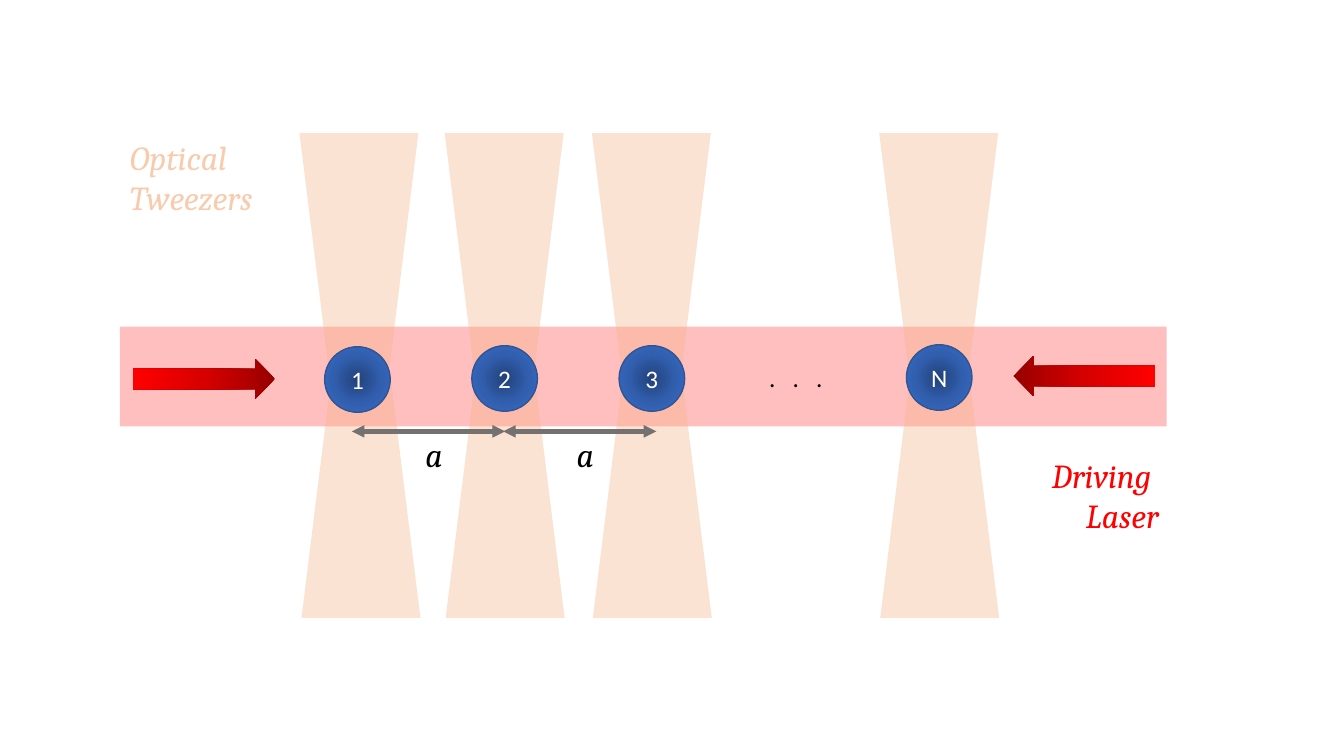
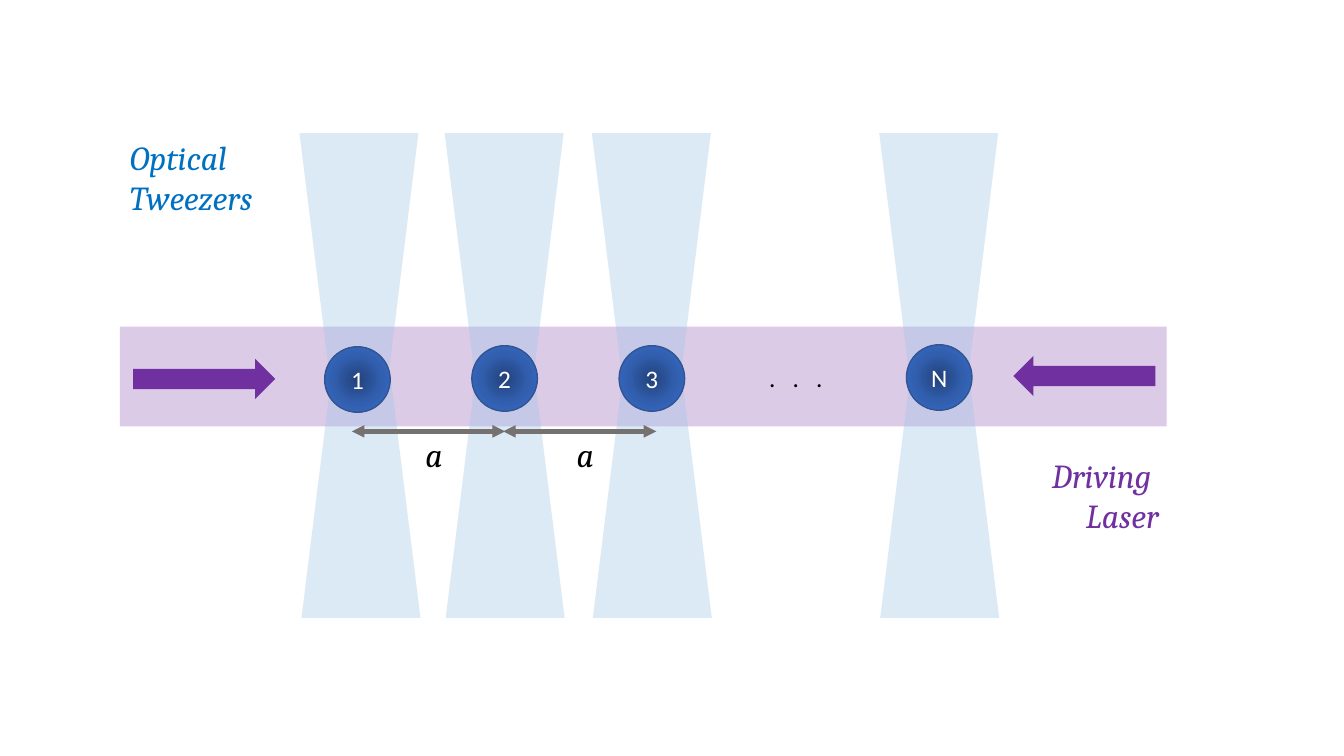
"""Two colour versions of an atom chain held by optical tweezers and driven by a laser."""
from lxml.etree import SubElement as Sub
from pptx import Presentation
from pptx.dml.color import RGBColor as Rgb
from pptx.enum.shapes import MSO_CONNECTOR as Link, MSO_SHAPE as Kind
from pptx.enum.text import MSO_ANCHOR as Anchor, MSO_AUTO_SIZE as Auto, PP_ALIGN as Align
from pptx.oxml.ns import qn
from pptx.util import Inches, Pt

INK = {"text": "000000", "light": "FFFFFF", "rim": "325491", "gap": "767171"}
BALL = ["23427A", "315EAD", "3A6FCE"]
THEMES = [
    {"beam": "F4B183", "band": "FF0000", "label": "F8CBAD",
     "arrow": ["970000", "D70000", "FF0000"]},
    {"beam": "9DC3E6", "band": "7030A0", "label": "0070C0", "arrow": ["7030A0"]},
]
BAND = (1.19, 3.24, 10.38, 0.99)
BEAM = (1.18, 2.38)
SIZE = 0.65
ATOMS = [
    ("1", 3.22, 3.44, 2.97, 2.99),
    ("2", 4.68, 3.43, 4.41, 4.42),
    ("3", 6.14, 3.43, 5.87, 5.88),
    ("N", 8.99, 3.42, 8.72, 8.73),
]
ARROWS = [(1.32, 3.56, 0), (10.05, 3.53, 180)]
GAPS = [(3.49, 4.12), (4.99, 5.62)]
SPAN, RULE = 1.52, 4.28


def fade(shape, tones, radial):
    """Fill a shape with evenly spaced tones."""
    shape.fill.background()
    old = shape.element.spPr.find(qn("a:noFill"))
    grad = old.makeelement(qn("a:gradFill"), {"rotWithShape": "1"})
    old.getparent().replace(old, grad)
    stops = Sub(grad, qn("a:gsLst"))
    for i, tone in enumerate(tones):
        stop = Sub(stops, qn("a:gs"), pos=str(100000 * i // (len(tones) - 1)))
        Sub(stop, qn("a:srgbClr"), val=tone)
    if radial:
        core = Sub(grad, qn("a:path"), path="circle")
        Sub(core, qn("a:fillToRect"), l="50000", t="50000", r="50000", b="50000")
    else:
        Sub(grad, qn("a:lin"), ang="10800000", scaled="1")


def draw(slide, kind, box, tones, alpha=100, turn=0, radial=False):
    """Add a preset shape without outline or shadow."""
    shape = slide.shapes.add_shape(kind, *map(Inches, box))
    shape.shadow.inherit = False
    shape.line.fill.background()
    shape.rotation = turn
    if len(tones) > 1:
        fade(shape, tones, radial)
        return shape
    shape.fill.solid()
    shape.fill.fore_color.rgb = Rgb.from_string(tones[0])
    if alpha < 100:
        tint = shape.element.spPr.find(qn("a:solidFill"))[0]
        Sub(tint, qn("a:alpha"), val=str(alpha * 1000))
    return shape


def put(frame, lines, tone, size=24, face="Cambria", slant=True, align=Align.LEFT):
    """Write lines as paragraphs in one style."""
    for i, line in enumerate(lines):
        para = frame.add_paragraph() if i else frame.paragraphs[0]
        para.text = line
        para.alignment = align
        font = para.font
        font.name, font.size, font.italic = face, Pt(size), slant
        font.color.rgb = Rgb.from_string(tone)


def note(slide, box, lines, tone, wrap=True, **style):
    """Add a text box and return its frame."""
    frame = slide.shapes.add_textbox(*map(Inches, box)).text_frame
    frame.word_wrap = wrap
    frame.auto_size = Auto.SHAPE_TO_FIT_TEXT
    put(frame, lines, tone, **style)
    return frame


def atom(slide, name, x, y):
    """Add a numbered atom."""
    ball = draw(slide, Kind.OVAL, (x, y, SIZE, SIZE), BALL, radial=True)
    ball.line.color.rgb = Rgb.from_string(INK["rim"])
    ball.line.width = Pt(1)
    ball.text_frame.vertical_anchor = Anchor.MIDDLE
    put(ball.text_frame, [name], INK["light"], 18, "Calibri", False, Align.CENTER)


def gap(slide, x, mark):
    """Add a two-headed spacing arrow with its letter."""
    ends = map(Inches, (x, RULE, x + SPAN, RULE))
    line = slide.shapes.add_connector(Link.STRAIGHT, *ends)
    line.line.color.rgb = Rgb.from_string(INK["gap"])
    line.line.width = Pt(3)
    props = line.element.spPr
    for end in ("a:headEnd", "a:tailEnd"):
        Sub(props.find(qn("a:ln")), qn(end), type="triangle")
    Sub(props, qn("a:effectLst"))
    note(slide, (mark, 4.26, 0.33, 0.5), ["a"], INK["text"])


def build(slide, theme):
    """Draw the whole setup in one theme."""
    draw(slide, Kind.RECTANGLE, BAND, [theme["band"]], 25)
    for name, x, y, top, low in ATOMS:
        for left, high, turn in ((top, 1.32, 180), (low, 3.75, 0)):
            draw(slide, Kind.TRAPEZOID, (left, high, *BEAM), [theme["beam"]], 35, turn)
        atom(slide, name, x, y)
    dots = note(slide, (7.53, 3.55, 0.85, 0.4), [". . ."], INK["text"], False,
                size=18, face="Calibri", slant=False)
    dots.paragraphs[0].runs[0]._r.get_or_add_rPr().set("spc", "410")
    for x, y, turn in ARROWS:
        draw(slide, Kind.RIGHT_ARROW, (x, y, 1.41, 0.4), theme["arrow"], turn=turn)
    for x, mark in GAPS:
        gap(slide, x, mark)
    note(slide, (1.19, 1.31, 1.95, 0.91), ["Optical", "Tweezers"], theme["label"])
    note(slide, (9.64, 4.46, 1.95, 0.91), ["Driving ", "Laser"], theme["band"],
         align=Align.RIGHT)


def main():
    """Build and save the deck."""
    deck = Presentation()
    deck.slide_width, deck.slide_height = Inches(13.33), Inches(7.5)
    for theme in THEMES:
        build(deck.slides.add_slide(deck.slide_layouts[6]), theme)
    deck.save("out.pptx")


if __name__ == "__main__":
    main()
